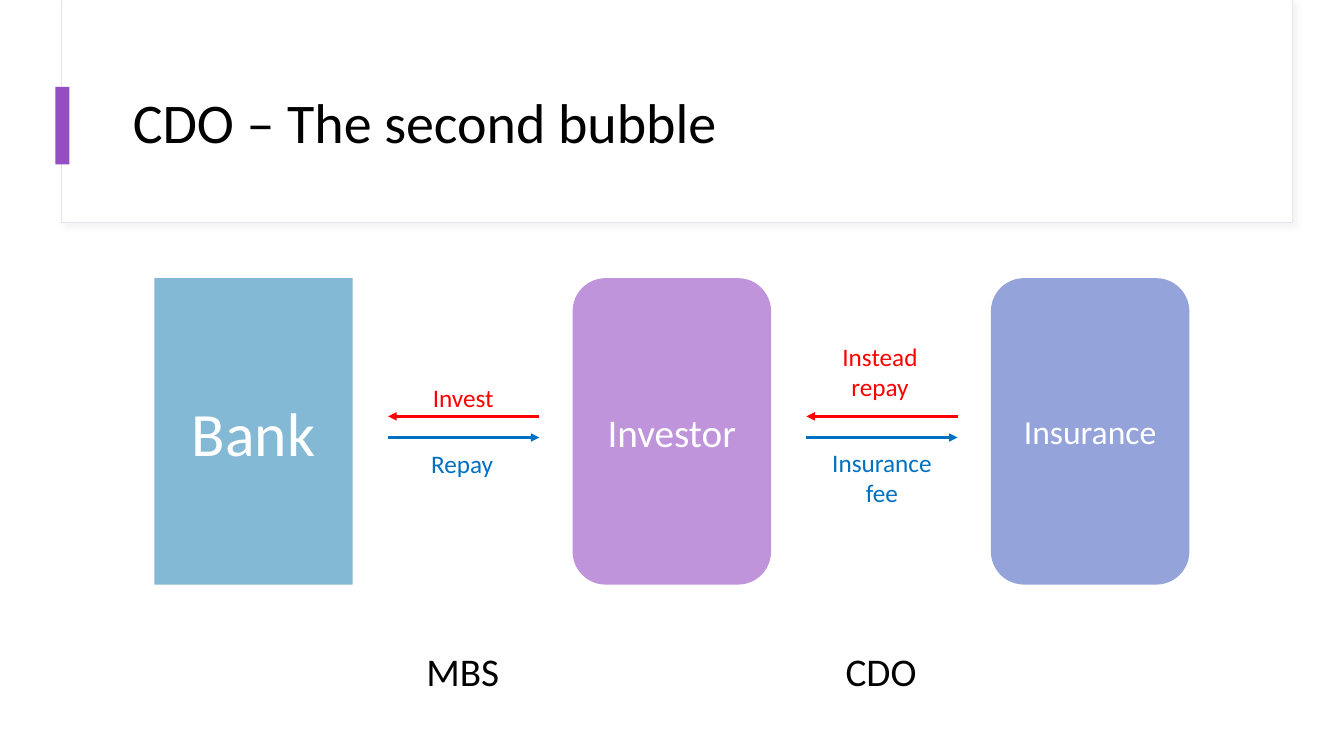
from lxml import etree
from pptx import Presentation
from pptx.dml.color import RGBColor
from pptx.enum import shapes, text
from pptx.oxml import ns
from pptx.util import Pt

RED, BLUE, BLACK, WHITE = "FF0000", "0070C0", "000000", "FFFFFF"
RECTANGLE = shapes.MSO_SHAPE.RECTANGLE
ROUNDED = shapes.MSO_SHAPE.ROUNDED_RECTANGLE


def add_block(parent, kind, left, top, width, height, fill):
    shape = parent.shapes.add_shape(kind, Pt(left), Pt(top), Pt(width), Pt(height))
    shape.shadow.inherit = False
    shape.fill.solid()
    shape.fill.fore_color.rgb = RGBColor.from_string(fill)
    shape.line.fill.background()
    return shape


def write(shape, words, size, colour, alignment=text.PP_ALIGN.CENTER):
    frame = shape.text_frame
    frame.text = words
    frame.word_wrap = True
    frame.vertical_anchor = text.MSO_ANCHOR.MIDDLE
    for paragraph in frame.paragraphs:
        paragraph.alignment = alignment
        for run in paragraph.runs:
            run.font.name = "Calibri"
            run.font.size = Pt(size)
            run.font.color.rgb = RGBColor.from_string(colour)


presentation = Presentation()
presentation.slide_width = Pt(960)
presentation.slide_height = Pt(540)
slide = presentation.slides.add_slide(presentation.slide_layouts[6])

header = add_block(slide, RECTANGLE, 44, 0, 879, 159, WHITE)
header.line.color.rgb = RGBColor.from_string("E5E2F1")
header.line.width = Pt(0.75)
effects = header._element.spPr.find(ns.qn("a:effectLst"))
shadow = etree.SubElement(effects, ns.qn("a:outerShdw"), blurRad=str(Pt(4)),
                          dist=str(Pt(3)), dir="2700000", algn="tl", rotWithShape="0")
shadow_colour = etree.SubElement(shadow, ns.qn("a:srgbClr"), val="D9D9D9")
etree.SubElement(shadow_colour, ns.qn("a:alpha"), val="30000")

add_block(slide, RECTANGLE, 44.6, 0, 878.4, 158.4, WHITE)
add_block(slide, RECTANGLE, 39.6, 62, 10, 55.4, "944DC3")

title = slide.shapes.add_textbox(Pt(87.8), Pt(43.2), Pt(800.6), Pt(92.9))
write(title, "CDO – The second bubble", 40, BLACK, text.PP_ALIGN.LEFT)
title.text_frame.paragraphs[0].line_spacing = 0.9

FIRST_LEFT, PITCH = 110.2, 298.8
PARTY_TOP, PARTY_WIDTH, PARTY_HEIGHT = 198.7, 141.8, 218.9
bank = add_block(slide, RECTANGLE, FIRST_LEFT, PARTY_TOP, PARTY_WIDTH, PARTY_HEIGHT, "84B9D6")
write(bank, "Bank", 44, WHITE)

deals = [
    ("Investor", 28, "BF94DB", [("Invest", RED, 294.5, 275, 72.7, 17.3),
                                ("Repay", BLUE, 295.9, 321.1, 68.4, 20.2)]),
    ("Insurance", 24, "94A4DB", [("Instead\nrepay", RED, 574.6, 247, 108, 36.7),
                                 ("Insurance fee", BLUE, 576, 336.2, 108, 10.1)]),
]
for step, (party, size, fill, labels) in enumerate(deals):
    group = slide.shapes.add_group_shape()
    party_left = FIRST_LEFT + PITCH * (step + 1)
    box = add_block(group, ROUNDED, party_left, PARTY_TOP, PARTY_WIDTH, PARTY_HEIGHT, fill)
    write(box, party, size, WHITE)

    near, far = 277.2 + PITCH * step, 385.2 + PITCH * step
    for start, end, height, colour in [(far, near, 297.4, RED), (near, far, 312.5, BLUE)]:
        arrow = group.shapes.add_connector(shapes.MSO_CONNECTOR.STRAIGHT,
                                           Pt(start), Pt(height), Pt(end), Pt(height))
        arrow.line.color.rgb = RGBColor.from_string(colour)
        arrow.line.width = Pt(2)
        etree.SubElement(arrow.line._get_or_add_ln(), ns.qn("a:tailEnd"), type="triangle")
        etree.SubElement(arrow._element.spPr, ns.qn("a:effectLst"))

    for words, colour, left, top, width, height in labels:
        label = group.shapes.add_textbox(Pt(left), Pt(top), Pt(width), Pt(height))
        write(label, words, 18, colour)

for step, product in enumerate(["MBS", "CDO"]):
    caption = slide.shapes.add_textbox(Pt(252 + PITCH * step), Pt(441.4), Pt(157), Pt(75.6))
    write(caption, product, 28, BLACK)

presentation.save("out.pptx")
